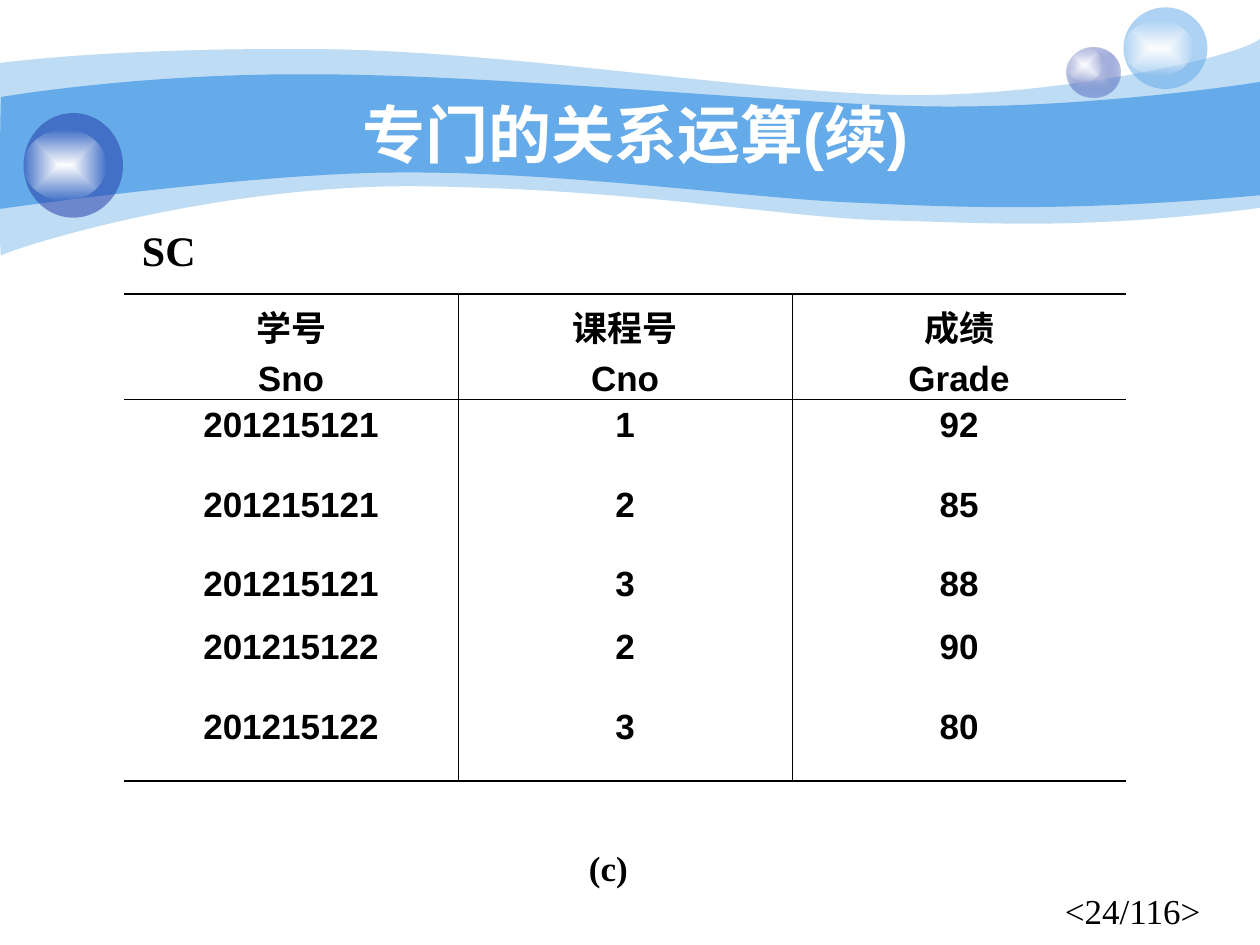
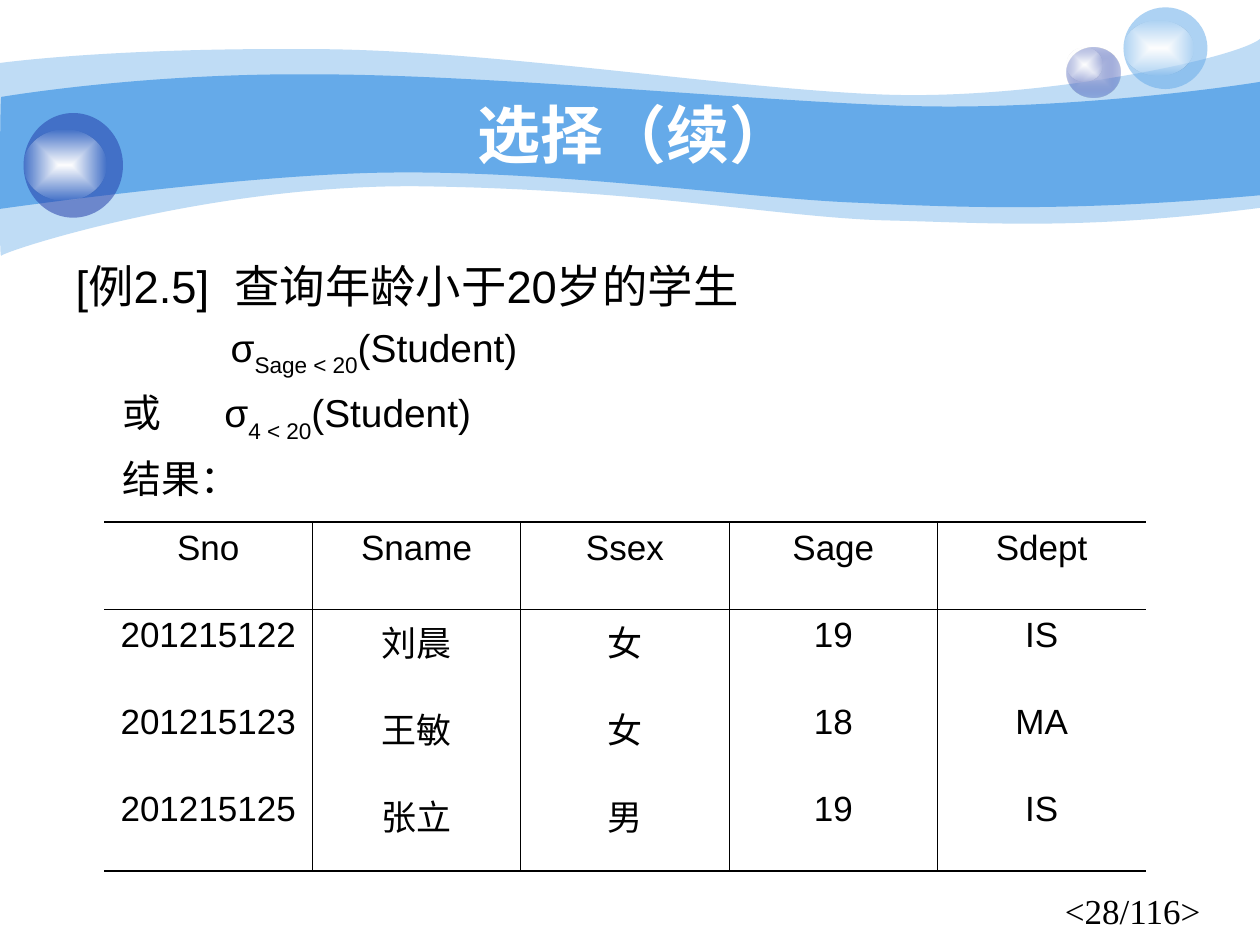
from itertools import count
from lxml.etree import SubElement as Sub
from pptx import Presentation
from pptx.dml.color import RGBColor
from pptx.enum.shapes import MSO_SHAPE as Form
from pptx.enum.text import MSO_ANCHOR as Anchor, MSO_AUTO_SIZE as Fit, PP_ALIGN as Align
from pptx.oxml.ns import qn
from pptx.util import Pt

SKY, NAVY, PALE, WHITE, BLACK = "65AAE9", "233DA9", "C7CEE9", "FFFFFF", "000000"
SANS, SERIF = "Arial", "Times New Roman"
PLAIN = "{2D5ABB26-0587-4C30-8999-92F81FD0307C}"
THIN, THICK = 0.45, 1.08

OUTER = [
    [(0, 36)],
    [(17.3, 33.8), (77, 27.4), (177.8, 28.1)],
    [(277.9, 28.1), (414, 50.4), (503.3, 54)],
    [(591.8, 57.6), (705.6, 33.8), (720, 22.3)],
    [(720, 118.8)],
    [(617.8, 131.8), (566.6, 127.4), (507.6, 126)],
    [(447.8, 124.6), (370.8, 108.7), (247, 106.6)],
    [(123.8, 103.7), (2.9, 143.3), (0.7, 146.2)],
    [(-0.7, 149.8), (0, 54), (0, 36)],
]
INNER = [
    [(0.7, 55.4)],
    [(1.4, 55.4), (79.2, 41.8), (178.6, 42.5)],
    [(277.9, 42.5), (428.4, 57.6), (517, 60.5)],
    [(605.5, 63.4), (702.7, 49.7), (720, 46.8)],
    [(720, 111.6)],
    [(614.2, 121), (550.8, 118.8), (491, 115.9)],
    [(431.3, 113.8), (321.8, 97.9), (228.2, 98.6)],
    [(146.2, 98.6), (-1.4, 119.5), (-0.7, 119.5)],
    [(0, 119.5), (0, 55.4), (0.7, 55.4)],
]


def hue(code):
    return RGBColor.from_string(code)


class Deck:
    def __init__(self):
        self.show = Presentation()
        self.show.slide_width, self.show.slide_height = Pt(720), Pt(540)
        self.slide = None

    def start(self, kind, title, page):
        self.slide = self.show.slides.add_slide(self.show.slide_layouts[kind])
        if len(self.show.slides) == 1:
            self.decor()
        head = self.slide.shapes.title
        self.place(head, 72, 54, 581.8, 44.6)
        frame = head.text_frame
        frame.auto_size, frame.vertical_anchor = Fit.NONE, Anchor.MIDDLE
        frame.text = title
        self.style(frame.paragraphs[0], 36, WHITE, bold=True, align=Align.CENTER)
        self.label(f"<{page}/116>", 601.4, 505, 110.2, 35, align=Align.LEFT)

    def place(self, shape, x, y, w, h):
        shape.left, shape.top, shape.width, shape.height = map(Pt, (x, y, w, h))

    def style(self, para, size, tint=BLACK, face=SANS, bold=False, align=None):
        para.alignment = align
        for run in para.runs:
            font = run.font
            font.size, font.name, font.bold = Pt(size), face, bold
            font.color.rgb = hue(tint)

    def fade(self, shape, share):
        tint = list(shape.element.spPr.iter(qn("a:srgbClr")))[-1]
        Sub(tint, qn("a:alpha"), val=str(share * 1000))

    def solid(self, shape, tint, share=100):
        shape.shadow.inherit = False
        shape.line.fill.background()
        shape.fill.solid()
        shape.fill.fore_color.rgb = hue(tint)
        if share < 100:
            self.fade(shape, share)

    def glow(self, shape, core, rim, share):
        shape.shadow.inherit = False
        shape.line.fill.background()
        shape.fill.gradient()
        for spot, (stop, tint) in enumerate(zip(shape.fill.gradient_stops, (core, rim))):
            stop.color.rgb = hue(tint)
            stop.position = spot
        self.fade(shape, share)
        grad = shape.element.spPr.find(qn("a:gradFill"))
        grad.remove(grad.find(qn("a:lin")))
        way = Sub(grad, qn("a:path"), path="rect")
        Sub(way, qn("a:fillToRect"), {side: "50000" for side in "ltrb"})

    def wave(self, parts, tint, share=100):
        spots = [(Pt(x), Pt(y)) for part in parts for x, y in part]
        pen = self.slide.shapes.build_freeform(*spots[0])
        pen.add_line_segments(spots[1:], close=True)
        shape = pen.convert_to_shape()
        self.bend(shape, parts[1:])
        self.solid(shape, tint, share)
        return shape

    def bend(self, shape, parts):
        lines = iter(list(shape.element.spPr.iter(qn("a:lnTo"))))
        for part in parts:
            group = [next(lines) for _ in part]
            if len(part) == 3:
                curve = group[0].makeelement(qn("a:cubicBezTo"))
                group[0].addprevious(curve)
                for line in group:
                    curve.append(line[0])
                    line.getparent().remove(line)

    def ball(self, *box):
        return self.slide.shapes.add_shape(Form.OVAL, *map(Pt, box))

    def decor(self):
        parts = [self.wave(OUTER, SKY, 41), self.wave(INNER, SKY)]
        small = self.ball(609.6, 27, 30.6, 29)
        self.glow(small, PALE, NAVY, 31)
        light = self.ball(642, 4.2, 48, 46.7)
        self.solid(light, SKY, 53)
        dark = self.ball(13.5, 64.6, 56.8, 59.8)
        self.solid(dark, NAVY, 53)
        shines = [(609.6, 27, 20.2, 19.4), (642, 12.1, 40, 31), (13.5, 74.2, 47.3, 40.3)]
        for orb, box in zip((small, light, dark), shines):
            shine = self.ball(*box)
            self.glow(shine, WHITE, WHITE, 0)
            parts += [orb, shine]
        tree = self.show.slide_master.shapes.element
        for part, mark in zip(parts, count(101)):
            next(part.element.iter(qn("p:cNvPr"))).set("id", str(mark))
            tree.append(part.element)

    def label(self, text, x, y, w, h, size=20, bold=False, align=Align.CENTER, wrap=True, hold=Anchor.TOP):
        frame = self.slide.shapes.add_textbox(*map(Pt, (x, y, w, h))).text_frame
        frame.word_wrap, frame.vertical_anchor = wrap, hold
        frame.text = text
        self.style(frame.paragraphs[0], size, face=SERIF, bold=bold, align=align)

    def body(self, lines, *box):
        hold = self.slide.placeholders[1]
        self.place(hold, *box)
        frame = hold.text_frame
        frame.auto_size = Fit.NONE
        for row, (size, indent, gap, pieces) in enumerate(lines):
            para = frame.add_paragraph() if row else frame.paragraphs[0]
            props = para._p.get_or_add_pPr()
            props.set("marL", "0")
            props.set("indent", str(Pt(indent)))
            Sub(props, qn("a:buNone"))
            para.space_before = Pt(6 if row else 0)
            for piece in pieces:
                para.add_run().text = piece
            self.style(para, size, align=Align.JUSTIFY)
            for run in para.runs:
                if run.text == " ":
                    run._r.get_or_add_rPr().set("spc", str(round(gap * 100)))
                elif "<" in run.text:
                    run._r.get_or_add_rPr().set("baseline", "-30000")

    def edge(self, cell, side, width):
        line = Sub(cell._tc.get_or_add_tcPr(), qn("a:ln" + side), w=str(Pt(width)))
        if width:
            tint = Sub(Sub(line, qn("a:solidFill")), qn("a:srgbClr"))
            tint.set("val", str(hue(BLACK)))
        else:
            Sub(line, qn("a:noFill"))

    def table(self, rows, x, y, width, tall, bold=False):
        high, wide = len(rows), len(rows[0])
        box = map(Pt, (x, y, width, sum(tall)))
        grid = self.slide.shapes.add_table(high, wide, *box).table
        grid.first_row = grid.horz_banding = False
        next(grid._tbl.iter(qn("a:tableStyleId"))).text = PLAIN
        for col in grid.columns:
            col.width = Pt(width / wide)
        for r, row in enumerate(rows):
            grid.rows[r].height = Pt(tall[r])
            for c, text in enumerate(row):
                cell = grid.cell(r, c)
                cell.text_frame.text = text
                for n, para in enumerate(cell.text_frame.paragraphs):
                    para.space_before = Pt(5 if n else 0)
                    self.style(para, 20, bold=bold, align=Align.CENTER)
                self.edge(cell, "L", THIN if c else 0)
                self.edge(cell, "R", THIN if c < wide - 1 else 0)
                self.edge(cell, "T", {0: THICK, 1: THIN}.get(r, 0))
                self.edge(cell, "B", {0: THIN, high - 1: THICK}.get(r, 0))
                cell.fill.background()


def main():
    deck = Deck()

    deck.start(5, "专门的关系运算(续)", 24)
    deck.label("(c)", 314.6, 480.2, 66.2, 35, bold=True)
    deck.label("SC", 54, 122.7, 84.9, 39.6, 24, True, wrap=False, hold=Anchor.MIDDLE)
    grades = [
        ("学号\nSno", "课程号\nCno", "成绩\nGrade"),
        ("201215121", "1", "92"),
        ("201215121", "2", "85"),
        ("201215121", "3", "88"),
        ("201215122", "2", "90"),
        ("201215122", "3", "80"),
    ]
    deck.table(grades, 70.9, 168, 572.6, [60.4, 45.5, 45.5, 36, 45.5, 45.4], bold=True)

    deck.start(1, "选择（续）", 28)
    lines = [
        (25.9, 0, 7.2, ["[例2.5]", " ", "查询年龄小于20岁的学生"]),
        (22.2, 88.6, 0, ["σ", "Sage < 20", "(Student)"]),
        (22.2, 27, 30.85, ["或", " ", "σ", "4 < 20", "(Student)"]),
        (22.2, 27, 0, ["结果："]),
    ]
    deck.body(lines, 36, 144, 647.3, 148.3)
    pupils = [
        ("Sno", "Sname", "Ssex", "Sage", "Sdept"),
        ("201215122", "刘晨", "女", "19", "IS"),
        ("201215123", "王敏", "女", "18", "MA"),
        ("201215125", "张立", "男", "19", "IS"),
    ]
    deck.table(pupils, 59.5, 298.3, 595.4, [49.9] * 4)

    deck.show.save("out.pptx")


if __name__ == "__main__":
    main()
